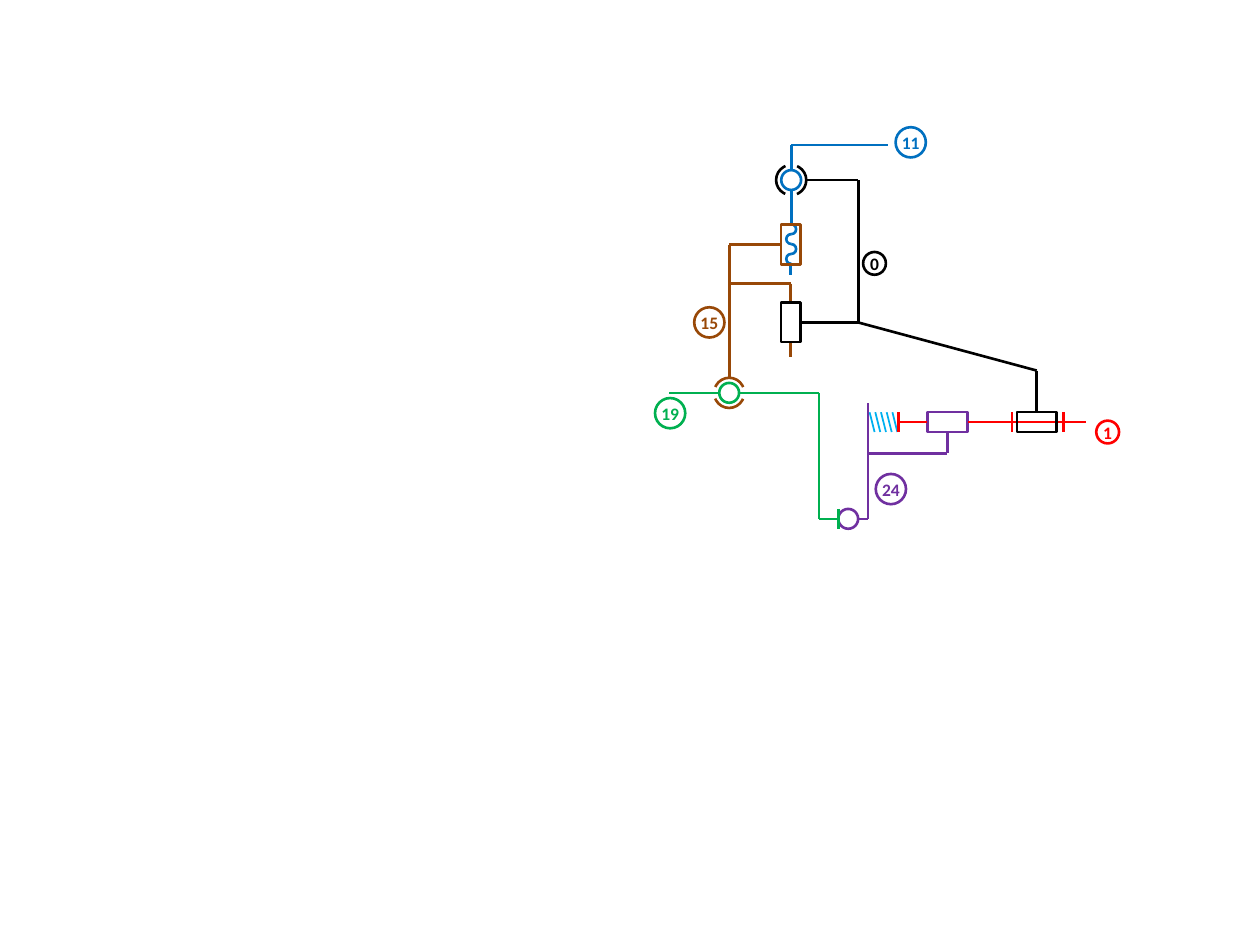
"""Build a colour-coded kinematic diagram of linked bodies on one slide."""
from dataclasses import dataclass
from itertools import pairwise

from lxml import etree
from pptx import Presentation
from pptx import util as u
from pptx.dml.color import RGBColor
from pptx.enum import shapes, text
from pptx.oxml.ns import qn


@dataclass(frozen=True)
class Theme:
    black: str = "000000"
    red: str = "FF0000"
    violet: str = "7030A0"
    green: str = "00B050"
    brown: str = "984807"
    blue: str = "0070C0"
    sky: str = "00B0F0"
    font: str = "Calibri"
    size: float = 10
    thick: float = 1.5
    thin: float = 1


THEME = Theme()
KIND = shapes.MSO_SHAPE
HALF = (0, 108)
CUP = (13.96, 94.47)


def write(frame, words, color, size=THEME.size, bold=True):
    frame.margin_left = frame.margin_right = 0
    frame.margin_top = frame.margin_bottom = 0
    frame.word_wrap = False
    frame.vertical_anchor = text.MSO_ANCHOR.MIDDLE
    para = frame.paragraphs[0]
    para.alignment = text.PP_ALIGN.CENTER
    run = para.add_run()
    run.text = words
    run.font.name = THEME.font
    run.font.size = u.Pt(size)
    run.font.bold = bold
    run.font.color.rgb = RGBColor.from_string(color)


def ink(line, color, width=THEME.thick):
    line.color.rgb = RGBColor.from_string(color)
    line.width = u.Pt(width)


def form(slide, kind, mid, size, color, turn=0):
    x, y = mid
    wide, high = size
    item = slide.shapes.add_shape(kind, u.Cm(x - wide / 2), u.Cm(y - high / 2),
                                  u.Cm(wide), u.Cm(high))
    item.rotation = turn
    item.shadow.inherit = False
    item.fill.background()
    ink(item.line, color)
    return item


def link(slide, color, *points, width=THEME.thick):
    for (x1, y1), (x2, y2) in pairwise(points):
        item = slide.shapes.add_connector(shapes.MSO_CONNECTOR.STRAIGHT,
                                          u.Cm(x1), u.Cm(y1), u.Cm(x2), u.Cm(y2))
        ink(item.line, color, width)
        etree.SubElement(item._element.spPr, qn("a:effectLst"))


def ring(slide, mid, color, size=0.4):
    return form(slide, KIND.OVAL, mid, (size, size), color)


def arc(slide, mid, size, color, span, turn):
    item = form(slide, KIND.ARC, mid, (size, size), color, turn)
    item.adjustments[0], item.adjustments[1] = span


def ball(slide, mid, inner, outer, turn):
    ring(slide, mid, inner)
    for angle in (turn, turn + 180):
        arc(slide, mid, 0.61, outer, CUP, angle)


def sleeve(slide, mid, color, turn=0):
    form(slide, KIND.RECTANGLE, mid, (0.8, 0.4), color, turn)


def screw(slide, x, top, color):
    for i in range(4):
        arc(slide, (x, top + 0.1 + 0.2 * i), 0.2, color, HALF, 90 if i % 2 else 270)


def spring(slide, x, y, color):
    for i in range(5):
        left = x + 0.115 * i
        link(slide, color, (left, y - 0.2), (left + 0.1, y + 0.2), width=THEME.thin)


def stop(slide, x, y, color):
    link(slide, color, (x, y - 0.2), (x, y + 0.2))


def badge(slide, words, mid, color):
    item = ring(slide, mid, color, 0.46 if len(words) == 1 else 0.61)
    write(item.text_frame, words, color)


def frame(slide):
    """Draw the black body with its two guides."""
    link(slide, THEME.black, (16.26, 3.63), (17.3, 3.63), (17.3, 6.5),
         (20.9, 7.47), (20.9, 8.31))
    link(slide, THEME.black, (17.3, 6.5), (16.13, 6.5))
    sleeve(slide, (15.94, 6.5), THEME.black, 90)
    sleeve(slide, (20.9, 8.51), THEME.black)


def drive(slide):
    """Draw the blue screw held by the black cups and brown nut."""
    screw(slide, 15.95, 4.52, THEME.blue)
    ball(slide, (15.95, 3.63), THEME.blue, THEME.black, 90)
    link(slide, THEME.blue, (15.95, 4.52), (15.95, 3.83))
    link(slide, THEME.blue, (15.95, 3.43), (15.95, 2.92), (17.91, 2.92))
    link(slide, THEME.blue, (15.94, 5.33), (15.94, 5.54))
    sleeve(slide, (15.94, 4.93), THEME.brown, 90)


def slider(slide):
    """Draw the brown slider and the green arm hinged on it."""
    link(slide, THEME.brown, (15.75, 4.93), (14.7, 4.93), (14.7, 7.62))
    link(slide, THEME.brown, (14.7, 5.72), (15.94, 5.72), (15.94, 6.1))
    link(slide, THEME.brown, (15.94, 6.91), (15.94, 7.19))
    ball(slide, (14.7, 7.92), THEME.green, THEME.brown, 0)
    link(slide, THEME.green, (13.49, 7.92), (14.5, 7.92))
    link(slide, THEME.green, (14.91, 7.92), (16.51, 7.92), (16.51, 10.46),
         (16.9, 10.46))
    stop(slide, 16.9, 10.46, THEME.green)


def plunger(slide):
    """Draw the violet carrier, the spring and the red rod."""
    ring(slide, (17.1, 10.46), THEME.violet)
    link(slide, THEME.violet, (17.3, 10.46), (17.5, 10.46), (17.5, 8.13))
    link(slide, THEME.violet, (17.5, 9.14), (19.1, 9.14), (19.1, 8.71))
    sleeve(slide, (19.1, 8.51), THEME.violet)
    spring(slide, 17.53, 8.51, THEME.sky)
    link(slide, THEME.red, (18.11, 8.51), (18.69, 8.51))
    link(slide, THEME.red, (19.51, 8.51), (21.89, 8.51))
    for x in (18.11, 20.4, 21.44):
        stop(slide, x, 8.51, THEME.red)


def main():
    deck = Presentation()
    deck.slide_width, deck.slide_height = u.Cm(25.4), u.Cm(19.05)
    slide = deck.slides.add_slide(deck.slide_layouts[6])
    for draw in (plunger, slider, drive, frame):
        draw(slide)
    for words, mid, color in (
        ("0", (17.63, 5.31), THEME.black),
        ("1", (22.33, 8.71), THEME.red),
        ("24", (17.96, 9.86), THEME.violet),
        ("19", (13.51, 8.33), THEME.green),
        ("15", (14.3, 6.5), THEME.brown),
        ("11", (18.36, 2.87), THEME.blue),
    ):
        badge(slide, words, mid, color)
    deck.save("out.pptx")


if __name__ == "__main__":
    main()
